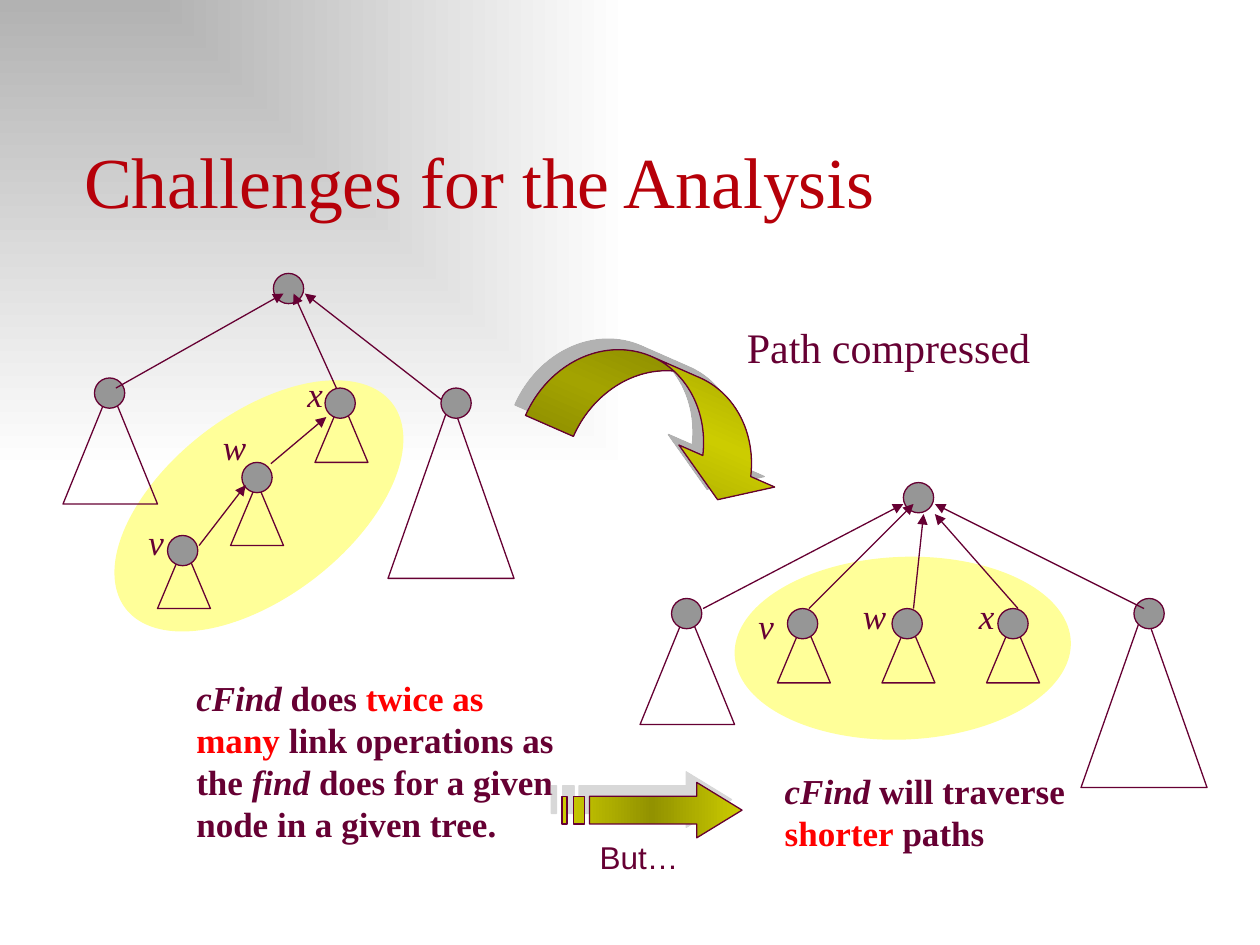
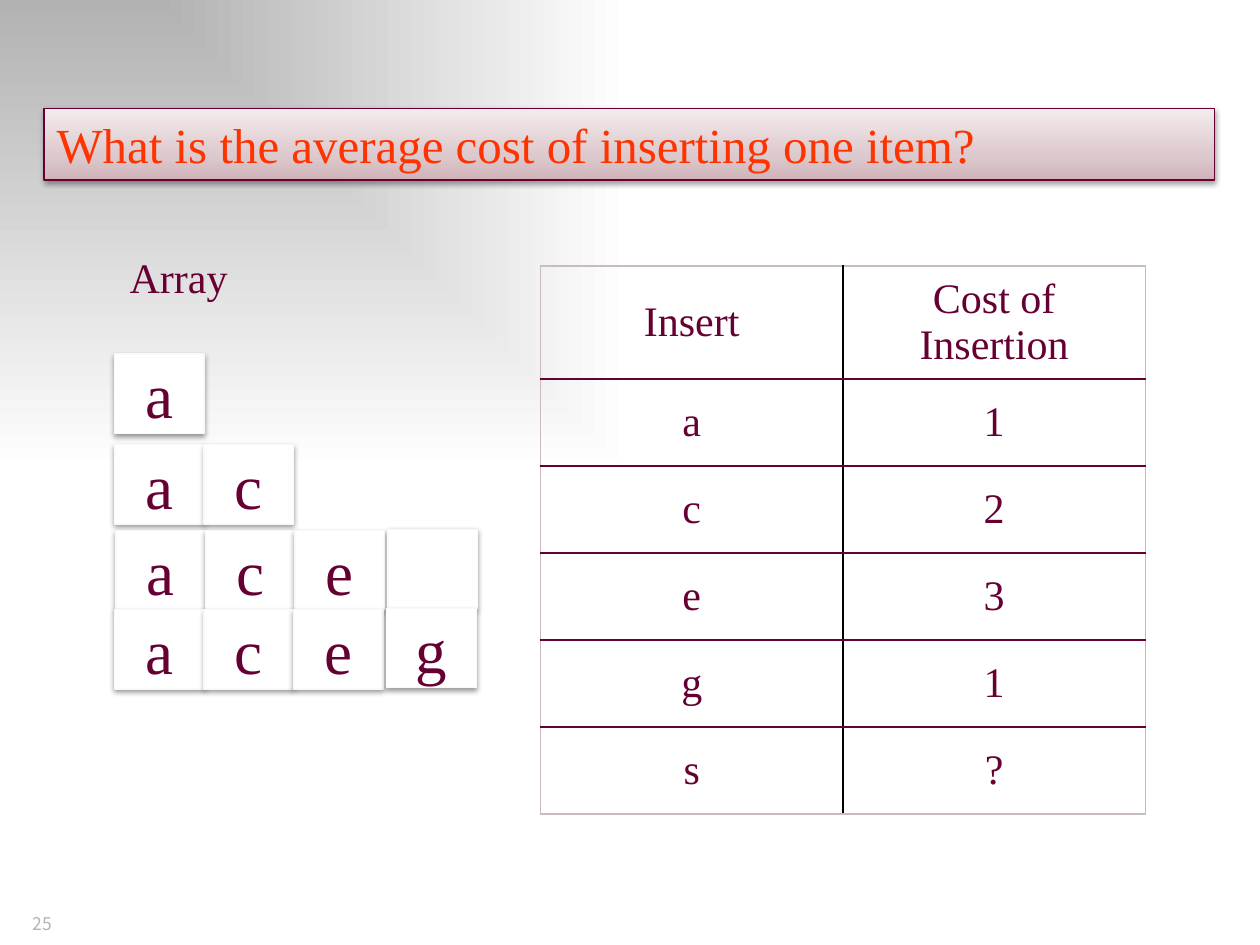
from lxml import etree
from pptx import Presentation
from pptx.dml.color import RGBColor
from pptx.enum.shapes import MSO_CONNECTOR, MSO_SHAPE as SHAPE
from pptx.enum.text import MSO_ANCHOR as ANCHOR, PP_ALIGN as ALIGN
from pptx.oxml.ns import qn
from pptx.util import Inches, Pt

MAROON = RGBColor(0x66, 0x00, 0x33)
TITLE_RED = RGBColor(0xB6, 0x00, 0x09)
RED = RGBColor(0xFF, 0x00, 0x00)
ORANGE = RGBColor(0xFF, 0x33, 0x00)
YELLOW = RGBColor(0xFF, 0xFF, 0x99)
NODE_GRAY = RGBColor(0x96, 0x96, 0x96)
SILVER = RGBColor(0xB2, 0xB2, 0xB2)
NUMBER_GRAY = RGBColor(0xAE, 0xB6, 0xBB)
WHITE = RGBColor(0xFF, 0xFF, 0xFF)
TILE_EDGE = RGBColor(0xF9, 0xF9, 0xF9)
BLACK = RGBColor(0x00, 0x00, 0x00)
OLIVE = RGBColor(0x92, 0x92, 0x00)
LIME = RGBColor(0xCC, 0xCC, 0x00)
ROSE = RGBColor(0xD0, 0xB3, 0xB9)
ROSE_MID = RGBColor(0xDD, 0xCA, 0xCE)
ROSE_PALE = RGBColor(0xF3, 0xEB, 0xEC)
TABLE_EDGE = RGBColor(0xC8, 0xBC, 0xC0)

SERIF = "Times New Roman"
NODE_SIZE = 0.24
TILE_W, TILE_H = 0.71, 0.63
SOFT_SHADOW = (BLACK, 38, 3.1, 1.6, 90)


def sub(parent, tag, **attrs):
    return etree.SubElement(parent, qn(tag), {k: str(v) for k, v in attrs.items()})


def set_gradient(fill, element, stops, angle=None):
    fill.gradient()
    grad = next(element.iter(qn("a:gradFill")))
    grad[:] = []
    stop_list = sub(grad, "a:gsLst")
    for pos, color in stops:
        sub(sub(stop_list, "a:gs", pos=pos * 1000), "a:srgbClr", val=color)
    if angle is None:
        sub(sub(grad, "a:path", path="rect"), "a:fillToRect", r=100000, b=100000)
    else:
        sub(grad, "a:lin", ang=angle * 60000, scaled=1)


def write(tf, text, size=20, color=MAROON, font=SERIF, bold=False, italic=False,
          align=ALIGN.LEFT, anchor=ANCHOR.TOP):
    tf.word_wrap = True
    tf.vertical_anchor = anchor
    p = tf.paragraphs[0]
    p.alignment = align
    for part, own in [(text, {})] if isinstance(text, str) else text:
        r = p.add_run()
        r.text = part
        r.font.name = font
        r.font.size = Pt(size)
        r.font.bold = bold
        r.font.italic = own.get("italic", italic)
        r.font.color.rgb = own.get("color", color)


class Deck:
    def __init__(self):
        self.prs = Presentation()
        self.prs.slide_width, self.prs.slide_height = Inches(10), Inches(7.5)
        self.s = None

    def slide(self):
        self.s = self.prs.slides.add_slide(self.prs.slide_layouts[6])
        set_gradient(self.s.background.fill, self.s.element, [(0, SILVER), (100, WHITE)])

    def style(self, sp, fill=None, line=MAROON, shadow=None):
        sp.shadow.inherit = False
        if fill is None:
            sp.fill.background()
        elif isinstance(fill, RGBColor):
            sp.fill.solid()
            sp.fill.fore_color.rgb = fill
        else:
            set_gradient(sp.fill, sp.element, *fill)
        if line is None:
            sp.line.fill.background()
        else:
            sp.line.color.rgb = line
            sp.line.width = Pt(0.75)
        if shadow:
            color, alpha, blur, dist, angle = shadow
            effects = next(sp.element.iter(qn("a:effectLst")))
            outer = sub(effects, "a:outerShdw", blurRad=Pt(blur), dist=Pt(dist),
                        dir=angle * 60000, algn="ctr", rotWithShape=0)
            sub(sub(outer, "a:srgbClr", val=color), "a:alpha", val=alpha * 1000)
        return sp

    def shape(self, kind, at, rotation=0, **look):
        sp = self.s.shapes.add_shape(kind, *map(Inches, at))
        sp.rotation = rotation
        return self.style(sp, **look)

    def outline(self, contours, **look):
        scaled = [[(Inches(x), Inches(y)) for x, y in c] for c in contours]
        builder = self.s.shapes.build_freeform(*scaled[0][0], scale=1.0)
        for i, points in enumerate(scaled):
            if i:
                builder.move_to(*points[0])
            builder.add_line_segments(points[1:], close=True)
        return self.style(builder.convert_to_shape(), **look)

    def text(self, at, text, **fmt):
        box = self.s.shapes.add_textbox(*map(Inches, at))
        write(box.text_frame, text, **fmt)

    def arrow(self, start, end):
        line = self.s.shapes.add_connector(MSO_CONNECTOR.STRAIGHT, *map(Inches, start + end))
        line.line.color.rgb = MAROON
        line.line.width = Pt(0.75)
        ln = next(line.element.iter(qn("a:ln")))
        sub(ln, "a:tailEnd", type="triangle")
        sub(ln.getparent(), "a:effectLst")

    def tile(self, left, top, letter):
        sp = self.shape(SHAPE.RECTANGLE, (left, top, TILE_W, TILE_H), fill=WHITE,
                        line=TILE_EDGE, shadow=SOFT_SHADOW)
        if letter:
            write(sp.text_frame, letter, size=36, align=ALIGN.CENTER, anchor=ANCHOR.MIDDLE)

    def table(self, left, top, col_w, row_h, rows):
        n_rows, n_cols = len(rows), len(rows[0])
        table = self.s.shapes.add_table(n_rows, n_cols, Inches(left), Inches(top),
                                        Inches(col_w * n_cols), Inches(row_h * n_rows)).table
        table.first_row = table.horz_banding = False
        for col in table.columns:
            col.width = Inches(col_w)
        for i, values in enumerate(rows):
            table.rows[i].height = Inches(row_h)
            for j, value in enumerate(values):
                cell = table.cell(i, j)
                write(cell.text_frame, value, size=24, align=ALIGN.CENTER)
                cell.vertical_anchor = ANCHOR.MIDDLE
                outer = {"L": j == 0, "R": j == n_cols - 1, "T": i == 0, "B": i == n_rows - 1}
                self.borders(cell, outer)
                cell.fill.background()

    def borders(self, cell, outer):
        tc_pr = cell._tc.get_or_add_tcPr()
        for side, is_outer in outer.items():
            color, width = (BLACK, 0.75) if side in "LR" else (MAROON, 1.5)
            if is_outer:
                color, width = TABLE_EDGE, 1
            ln = sub(tc_pr, f"a:ln{side}", w=Pt(width))
            sub(sub(ln, "a:solidFill"), "a:srgbClr", val=color)


def challenges_slide(deck):
    deck.slide()
    for at, rotation in [((5.83, 4.42, 2.67, 1.45), 357.7), ((0.72, 3.29, 2.67, 1.45), 322.4)]:
        deck.shape(SHAPE.OVAL, at, rotation, fill=YELLOW, line=None)

    small, medium, large = (0.42, 0.5), (0.75, 0.92), (1, 1.42)
    subtrees = [
        (8.58, 4.83, large), (7.83, 4.92, small), (7, 4.92, small), (6.17, 4.92, small),
        (5.08, 4.83, medium), (3.08, 3.17, large), (2.5, 3.17, small), (1.83, 3.83, small),
        (1.25, 4.33, small), (0.5, 3.08, medium),
    ]
    for left, top, size in subtrees:
        deck.shape(SHAPE.ISOSCELES_TRIANGLE, (left, top, *size))

    deck.text((0.57, 0.65, 8.26, 1.17), "Challenges for the Analysis", size=41,
              color=TITLE_RED, anchor=ANCHOR.BOTTOM)

    nodes = [(2.17, 2.17), (0.75, 3), (3.5, 3.08), (7.17, 3.83), (2.58, 3.08), (1.92, 3.67),
             (1.33, 4.25), (5.33, 4.75), (9, 4.75), (6.25, 4.83), (7.08, 4.83), (7.92, 4.83)]
    for node in nodes:
        deck.shape(SHAPE.OVAL, (*node, NODE_SIZE, NODE_SIZE), fill=NODE_GRAY)

    parent_links = [
        ((0.92, 3.08), (2.25, 2.33)), ((1.58, 4.33), (1.95, 3.85)),
        ((2.15, 3.68), (2.59, 3.31)), ((2.67, 3.08), (2.33, 2.33)),
        ((3.5, 3.17), (2.42, 2.33)), ((5.58, 4.83), (7.17, 4)),
        ((9.08, 4.83), (7.42, 4)), ((6.42, 4.83), (7.25, 4)),
        ((7.25, 4.83), (7.33, 4.08)), ((8.08, 4.83), (7.42, 4.08)),
    ]
    for child, parent in parent_links:
        deck.arrow(child, parent)

    node_labels = [("x", 7.67, 4.67), ("w", 6.75, 4.67), ("v", 5.92, 4.75),
                   ("v", 1.08, 4.08), ("w", 1.67, 3.33), ("x", 2.34, 2.91)]
    for name, left, top in node_labels:
        deck.text((left, top, 0.42, 0.43), name, italic=True)

    curve = deck.shape(SHAPE.CURVED_DOWN_ARROW, (4.25, 2.92, 2.08, 0.83), 23.7,
                       fill=([(0, OLIVE), (50, LIME), (100, OLIVE)], 90),
                       shadow=(SILVER, 100, 0, 8.5, 225))
    for i, value in enumerate((0.5, 1, 0.33)):
        curve.adjustments[i] = value
    deck.text((5.83, 2.5, 3.67, 0.5), "Path compressed", size=24)

    italic, red = {"italic": True}, {"color": RED}
    deck.text((1.46, 5.32, 3.17, 1.43),
              [("cFind", italic), (" does ", {}), ("twice as many", red),
               (" link operations as the ", {}), ("find", italic),
               (" does for a given node in a given tree.", {})], bold=True)

    top, bottom = 6.32, 6.54
    head = [(5.53, 6.21), (5.53, top), (4.68, top), (4.68, bottom), (5.53, bottom),
            (5.53, 6.65), (5.89, 6.43)]
    stripes = [[(a, top), (a, bottom), (b, bottom), (b, top)]
               for a, b in ((4.55, 4.64), (4.46, 4.5))]
    deck.outline([head, *stripes], fill=([(0, LIME), (50, OLIVE), (100, LIME)], 0),
                 shadow=(SILVER, 50, 0, 8.5, 225))
    deck.text((4.66, 6.6, 1.18, 0.4), "But…", size=18, font="Arial")
    deck.text((6.13, 6.06, 2.56, 0.77),
              [("cFind", italic), (" will traverse ", {}), ("shorter", red), (" paths", {})],
              bold=True)


def insertion_cost_slide(deck):
    deck.slide()
    deck.text((0.16, 6.96, 2.08, 0.5), "25", size=10, font="Noto Sans CJK SC",
              color=NUMBER_GRAY, anchor=ANCHOR.BOTTOM)
    deck.text((0.93, 1.95, 1.18, 0.5), "Array", size=24)
    deck.table(4.29, 2.11, 2.4, 0.69,
               [("Insert", "Cost of Insertion"), ("a", "1"), ("c", "2"), ("e", "3"),
                ("g", "1"), ("s", "?")])

    array_rows = [(0.91, 2.81, "a"), (0.91, 3.53, "ac"), (0.92, 4.21, "ace"), (3.08, 4.2, " "),
                  (0.91, 4.84, "ace"), (3.07, 4.83, "g")]
    for left, top, letters in array_rows:
        for i, letter in enumerate(letters):
            deck.tile(left + i * TILE_W, top, letter.strip())

    banner = deck.shape(SHAPE.RECTANGLE, (0.35, 0.86, 9.29, 0.57),
                        fill=([(0, ROSE), (35, ROSE_MID), (100, ROSE_PALE)], 270),
                        shadow=SOFT_SHADOW)
    write(banner.text_frame, "What is the average cost of inserting one item?", size=28,
          color=ORANGE)


def main():
    deck = Deck()
    challenges_slide(deck)
    insertion_cost_slide(deck)
    deck.prs.save("out.pptx")


if __name__ == "__main__":
    main()
